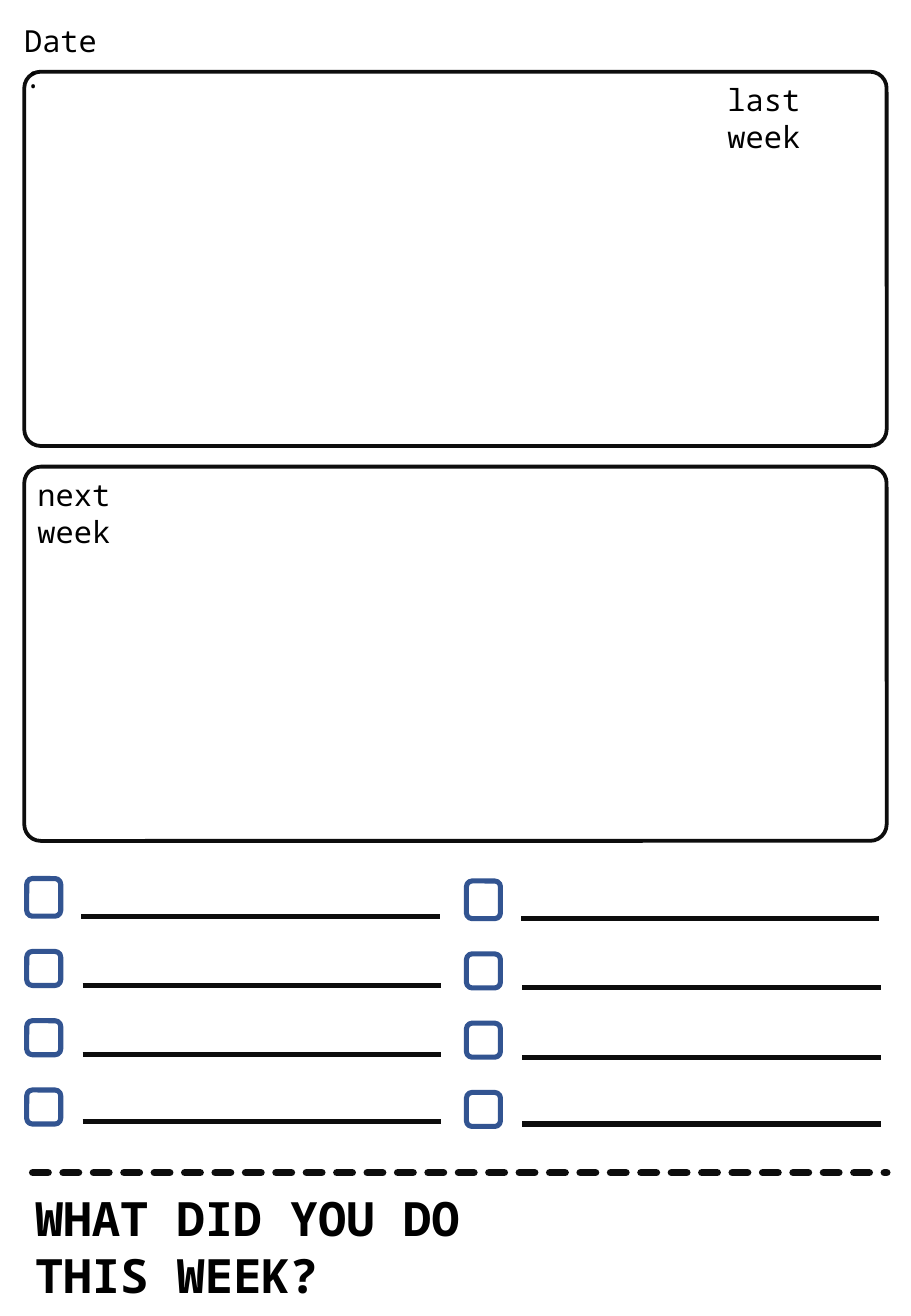
from lxml import etree
from pptx import Presentation
from pptx.dml.color import RGBColor
from pptx.enum.dml import MSO_LINE_DASH_STYLE as Dash
from pptx.enum.shapes import MSO_CONNECTOR as Connector, MSO_SHAPE as Shape
from pptx.enum.text import MSO_ANCHOR as Anchor, MSO_AUTO_SIZE as AutoSize, PP_ALIGN as Align
from pptx.oxml.ns import qn
from pptx.util import Inches, Pt

COLORS = {"text": "000000", "ink": "0D0D0D", "checkbox": "325491"}
FONT = "Noto Sans Mono"
PANEL_SIZE = (7.1, 3.08)
PANEL_LEFT = 0.2
PANEL_TOPS = (0.59, 3.84)
LIST_ROWS, ROW_PITCH = 4, 0.57
LIST_ORIGINS = ((3.84, 7.56), (0.22, 7.54))  # left edge, first baseline
CHECKBOX, RULE_OFFSET, RULE_LENGTH = 0.28, 0.45, 2.95


def style_line(line, color, width):
    line.color.rgb = RGBColor.from_string(COLORS[color])
    line.width = Pt(width)


def write(shape, box, text, size, bold=False):
    shape.left, shape.top, shape.width, shape.height = map(Inches, box)
    frame = shape.text_frame
    frame.text = text
    frame.word_wrap = True
    frame.auto_size = AutoSize.SHAPE_TO_FIT_TEXT
    frame.vertical_anchor = Anchor.TOP
    paragraph = frame.paragraphs[0]
    paragraph.alignment = Align.LEFT
    font = paragraph.font
    font.name, font.size, font.bold = FONT, Pt(size), bold
    font.color.rgb = RGBColor.from_string(COLORS["text"])


def add_label(slide, box, text):
    write(slide.shapes.add_textbox(*map(Inches, box)), box, text, 18)


def add_frame(shapes, box, color, width, rounding=None):
    frame = shapes.add_shape(Shape.ROUNDED_RECTANGLE, *map(Inches, box))
    frame.shadow.inherit = False
    frame.fill.background()
    style_line(frame.line, color, width)
    if rounding is not None:
        frame.adjustments[0] = rounding


def add_rule(shapes, left, right, y, width):
    rule = shapes.add_connector(Connector.STRAIGHT, *map(Inches, (left, y, right, y)))
    style_line(rule.line, "ink", width)
    etree.SubElement(rule._element.spPr, qn("a:effectLst"))
    return rule


def add_checklist(slide, left, baseline):
    items = slide.shapes.add_group_shape().shapes
    for row in range(LIST_ROWS):
        bottom = baseline + row * ROW_PITCH
        # The first checkbox is slightly taller, the last rule slightly higher
        height = CHECKBOX + (0.03 if row == 0 else 0)
        rule_y = bottom - (0.02 if row == LIST_ROWS - 1 else 0)
        add_frame(items, (left, bottom - height, CHECKBOX, height), "checkbox", 3)
        rule_left = left + RULE_OFFSET + (0.01 if row else 0)
        add_rule(items, rule_left, rule_left + RULE_LENGTH, rule_y, 3)


def main():
    prs = Presentation()
    prs.slide_width, prs.slide_height = Inches(7.5), Inches(10.83)
    slide = prs.slides.add_slide(prs.slide_layouts[5])

    # Closing question under the dashed cut line
    write(slide.shapes.title, (0.19, 9.74, 3.87, 1.04),
          "WHAT DID YOU DO THIS WEEK?", 28, bold=True)
    cut_line = add_rule(slide.shapes, 0.27, 7.3, 9.65, 4.5).line
    cut_line.dash_style = Dash.SQUARE_DOT
    cut_line._ln.set("cap", "rnd")
    cut_line._ln.find(qn("a:prstDash")).set("val", "sysDash")

    # Week panels and their labels
    for top in PANEL_TOPS:
        add_frame(slide.shapes, (PANEL_LEFT, top, *PANEL_SIZE), "ink", 2.25, 0.044)
    last_top, next_top = PANEL_TOPS
    add_label(slide, (0.1, 0.13, 0.83, 0.4), "Date:")
    add_label(slide, (5.89, last_top + 0.03, 1.33, 0.4), "last week")
    add_label(slide, (0.21, next_top + 0.03, 1.44, 0.4), "next week")

    # Two checklists
    for left, baseline in LIST_ORIGINS:
        add_checklist(slide, left, baseline)

    prs.save("out.pptx")


main()
